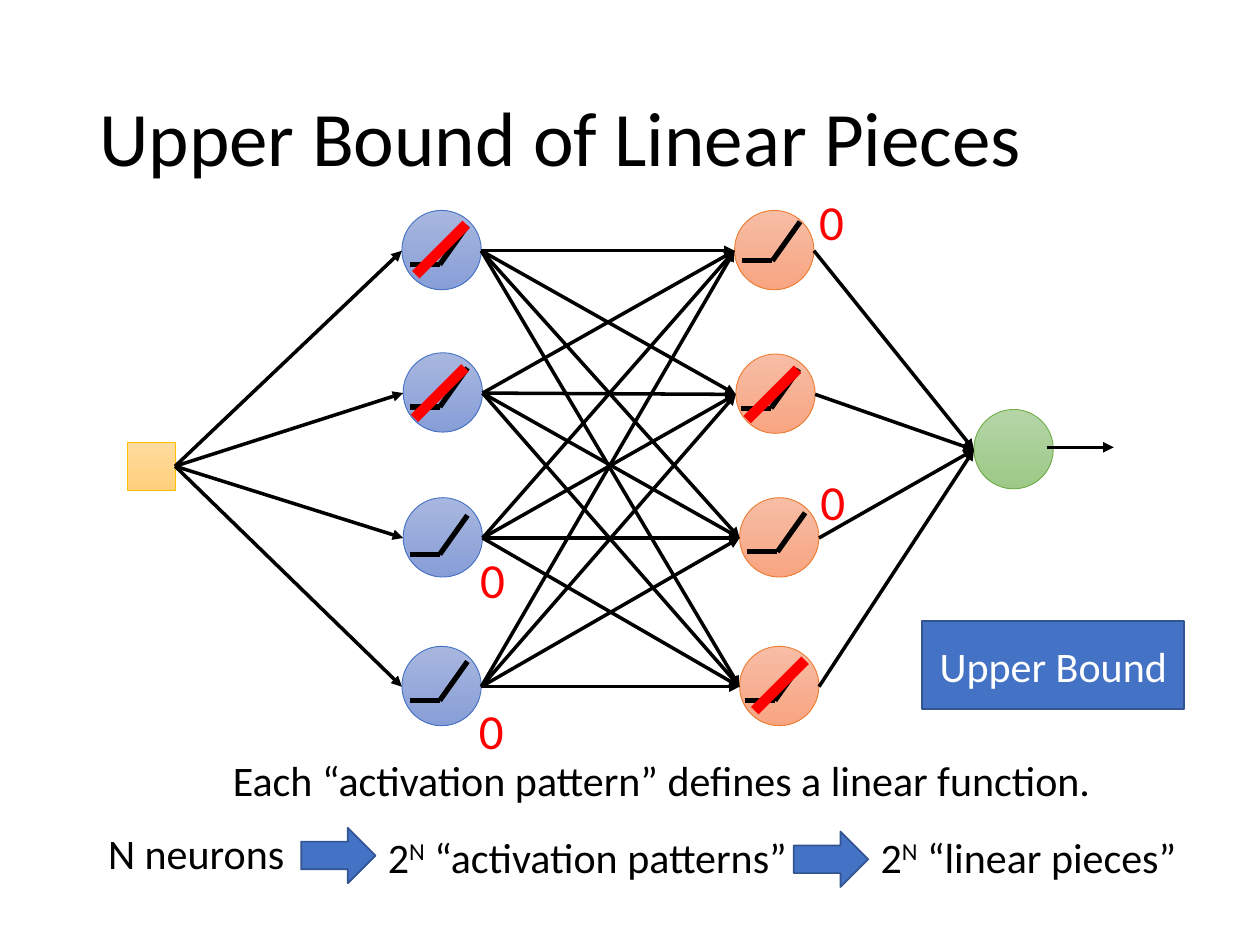
from itertools import product

from pptx import Presentation
from pptx.dml.color import RGBColor
from pptx.enum.shapes import MSO_CONNECTOR, MSO_SHAPE as SHAPE
from pptx.enum.text import MSO_ANCHOR as ANCHOR, PP_ALIGN as ALIGN
from pptx.oxml.ns import qn
from pptx.util import Pt
from lxml.etree import SubElement

PX = 9144  # 100 px to the inch
SIZE = 63  # neuron diameter
MID = 32
BLUE, EDGE, RED = "4472C4", "325491", "FF0000"

rgb = RGBColor.from_string
prs = Presentation()
prs.slide_width, prs.slide_height = 1000 * PX, 750 * PX
shapes = prs.slides.add_slide(prs.slide_layouts[6]).shapes


def put(kind, box, fill, edge, width):
    """Add a preset shape; a pair of fill colours makes a vertical gradient."""
    shape = shapes.add_shape(kind, *(v * PX for v in box))
    shape.shadow.inherit = False
    if isinstance(fill, tuple):
        shape.fill.gradient()
        shape.fill.gradient_angle = 270
        for stop, tone in zip(shape.fill.gradient_stops, fill):
            stop.color.rgb = rgb(tone)
    else:
        shape.fill.solid()
        shape.fill.fore_color.rgb = rgb(fill)
    shape.line.color.rgb = rgb(edge)
    shape.line.width = Pt(width)
    return shape


def link(start, end, width=2, color="000000", head=True):
    line = shapes.add_connector(MSO_CONNECTOR.STRAIGHT,
                                *(v * PX for v in (*start, *end)))
    line.line.color.rgb = rgb(color)
    line.line.width = Pt(width)
    if head:
        SubElement(line.line._get_or_add_ln(), qn("a:tailEnd"), type="triangle")
    SubElement(line._element.spPr, qn("a:effectLst"))
    return line


# Neurons
first = [(319, 167), (320, 280), (320, 395), (319, 513)]
second = [(583, 167), (584, 281), (587, 395), (587, 513)]
final = (773, 325)
layers = [
    (first, ("A8B7DF", "889ED7"), BLUE),
    (second, ("F7BDA5", "F8A582"), "ED7D31"),
    ([final], ("B5D5A7", "9CC987"), "70AD47"),
]
source = put(SHAPE.RECTANGLE, (101, 351, 38, 38), ("FFDB9E", "FFD07C"), "FFC000", 0.5)
for spots, fill, edge in layers:
    for x, y in spots:
        put(SHAPE.OVAL, (x, y, SIZE, SIZE), fill, edge, 0.5)

# Links between layers
for x, y in first:
    link((139, 370), (x, y + MID)).begin_connect(source, 3)
pairs = [*product(first, second), *product(second, [final])]
for (x1, y1), (x2, y2) in pairs:
    link((x1 + SIZE, y1 + MID), (x2, y2 + MID))
link((final[0] + SIZE - 5, 355), (884, 355))

# Activation curves, from the left end of the flat part
curves = [(325, 210), (325, 323), (325, 440), (325, 556),
          (589, 207), (588, 324), (593, 438), (591, 556)]
for x, y in curves:
    link((x, y), (x + 24, y), 3, head=False)
    link((x + 24, y), (x + 46, y - 31), 3, head=False)

for x, y in [(370, 178), (369, 292), (633, 293), (639, 524)]:
    link((x, y), (x - 40, y + 40), 6, RED, head=False)

# Arrows and the result box
for x, y in [(239, 657), (630, 660)]:
    put(SHAPE.RIGHT_ARROW, (x, y, 59, 44), BLUE, EDGE, 1)
bound = put(SHAPE.RECTANGLE, (732, 493, 208, 70), BLUE, EDGE, 1)

# Texts: frame, runs, size, colour, alignment, anchor; "^" marks a superscript
texts = [
    ((69, 40, 862, 145), ["Upper Bound of Linear Pieces"], 44, "000000", ALIGN.LEFT, ANCHOR.MIDDLE),
    (bound, ["Upper Bound"], 24, "FFFFFF", ALIGN.CENTER, ANCHOR.MIDDLE),
]
for x, y in [(363, 431), (362, 551), (632, 147), (633, 369)]:
    texts.append(((x, y, 56, 57), ["0"], 28, RED, ALIGN.CENTER, ANCHOR.TOP))
notes = [
    ((175, 594, 756, 50), ["Each “activation pattern” defines a linear function."]),
    ((76, 652, 180, 50), ["N neurons"]),
    ((298, 655, 350, 50), ["2", "^N", " “activation patterns”"]),
    ((689, 655, 265, 50), ["2", "^N", " “linear pieces”"]),
]
for box, runs in notes:
    texts.append((box, runs, 24, "000000", ALIGN.LEFT, ANCHOR.TOP))

for box, runs, size, color, align, anchor in texts:
    shape = shapes.add_textbox(*(v * PX for v in box)) if isinstance(box, tuple) else box
    frame = shape.text_frame
    frame.word_wrap = True
    frame.vertical_anchor = anchor
    para = frame.paragraphs[0]
    para.alignment = align
    if size == 44:
        para.line_spacing = 0.9
    for part in runs:
        run = para.add_run()
        run.text = part.lstrip("^")
        for key, value in {"name": "Calibri", "size": Pt(size)}.items():
            setattr(run.font, key, value)
        run.font.color.rgb = rgb(color)
        if part.startswith("^"):
            run._r.get_or_add_rPr().set("baseline", "30000")

prs.save("out.pptx")
